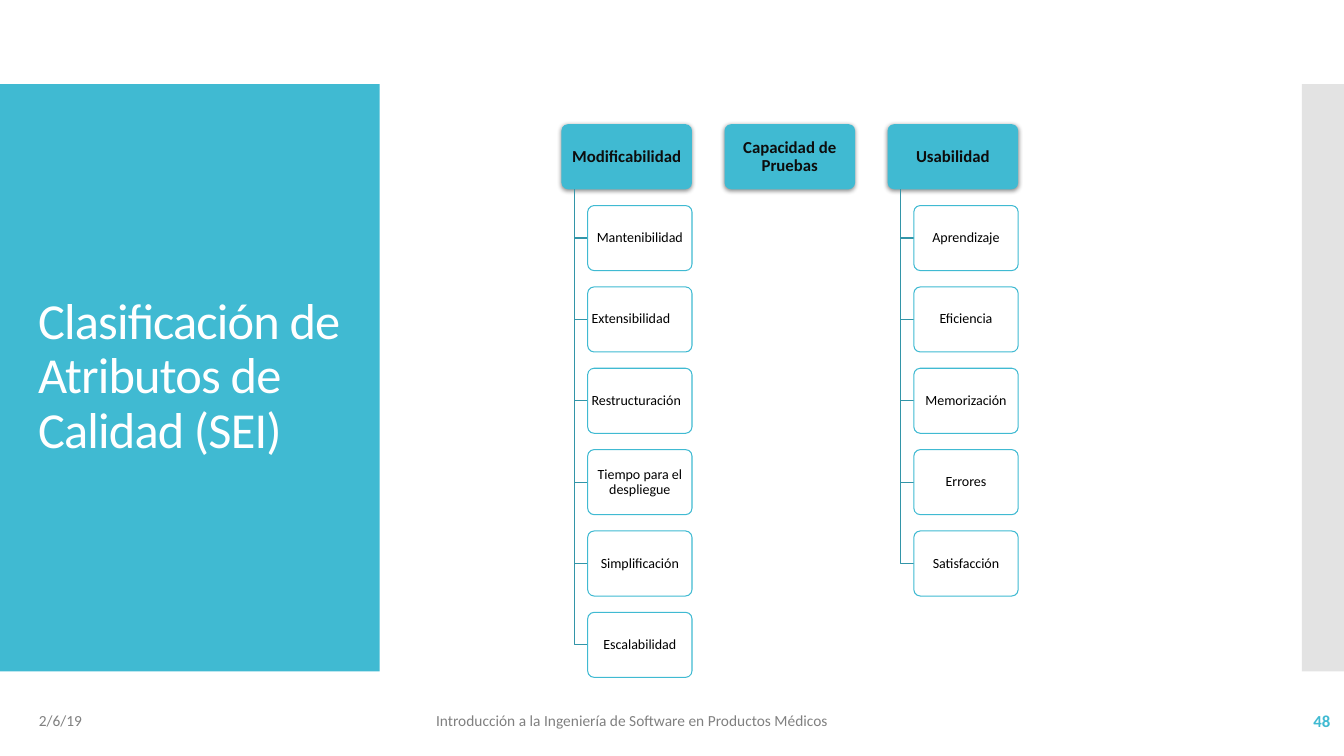
"""Build the slide on the classification of quality attributes."""
from dataclasses import dataclass

from lxml import etree
from pptx import Presentation
from pptx import util as u
from pptx.dml.color import RGBColor
from pptx.enum import shapes, text
from pptx.oxml.ns import qn


@dataclass(frozen=True)
class Theme:
    """Colours, type sizes and font of the deck."""
    teal: str = "40BAD2"
    deep: str = "3395A8"
    grey: str = "C8C8C8"
    white: str = "FFFFFF"
    ink: str = "0D0D0D"
    black: str = "000000"
    mute: str = "808080"
    font: str = "Calibri"
    title: float = 36
    head: float = 12
    note: float = 11
    leaf: float = 10


class Deck:
    """Hold the theme and the current slide and draw on it."""

    def __init__(self, theme):
        """Open a wide presentation with one blank slide."""
        self.theme = theme
        self.prs = Presentation()
        self.prs.slide_width, self.prs.slide_height = u.Cm(33.87), u.Cm(19.05)
        self.slide = self.prs.slides.add_slide(self.prs.slide_layouts[6])

    def apply(self, obj, form):
        """Set each attribute named in a format dict."""
        for name, value in form.items():
            setattr(obj, name, value)

    def box(self, at, fill, kind="RECTANGLE", edge=None, alpha=None):
        """Draw a preset shape with a plain fill and optional outline."""
        item = self.slide.shapes.add_shape(shapes.MSO_SHAPE[kind], *map(u.Cm, at))
        item.shadow.inherit = False
        item.fill.solid()
        item.fill.fore_color.rgb = RGBColor.from_string(fill)
        if alpha:
            tint = item._element.spPr.find(qn("a:solidFill"))[0]
            etree.SubElement(tint, qn("a:alpha"), val=str(alpha * 1000))
        if edge:
            item.line.color.rgb = RGBColor.from_string(edge)
            item.line.width = u.Pt(0.75)
        else:
            item.line.fill.background()
        return item

    def say(self, item, words, size, color, align="LEFT", bold=False, pad=(0.25, 0.13), lead=1.0):
        """Put one styled paragraph in a shape."""
        frame = item.text_frame
        side, top = map(u.Cm, pad)
        self.apply(frame, {
            "word_wrap": True, "vertical_anchor": text.MSO_ANCHOR.MIDDLE,
            "margin_left": side, "margin_right": side,
            "margin_top": top, "margin_bottom": top})
        para = frame.paragraphs[0]
        self.apply(para, {"alignment": text.PP_ALIGN[align], "line_spacing": lead})
        run = para.add_run()
        run.text = words
        self.apply(run.font, {"name": self.theme.font, "size": u.Pt(size), "bold": bold})
        run.font.color.rgb = RGBColor.from_string(color)
        return run

    def label(self, at, *args, **form):
        """Add a text box with one styled paragraph."""
        item = self.slide.shapes.add_textbox(*map(u.Cm, at))
        return self.say(item, *args, **form)

    def shade(self, item):
        """Give a shape a soft shadow below."""
        glow = item._element.spPr.find(qn("a:effectLst"))
        drop = etree.SubElement(glow, qn("a:outerShdw"), blurRad=str(u.Pt(3.5)),
                                dist=str(u.Pt(1.1)), dir="5400000", rotWithShape="0")
        tone = etree.SubElement(drop, qn("a:srgbClr"), val=self.theme.black)
        etree.SubElement(tone, qn("a:alpha"), val="45000")

    def head(self, at, words):
        """Draw the heading of a branch."""
        item = self.box(at, self.theme.teal, "ROUNDED_RECTANGLE")
        item.adjustments[0] = 0.1
        self.shade(item)
        self.say(item, words, self.theme.head, self.theme.ink, "CENTER", True, (0.08, 0.05), 0.9)

    def leaf(self, at, words, align):
        """Draw one attribute of a branch."""
        item = self.box(at, self.theme.white, "ROUNDED_RECTANGLE", self.theme.teal, 90)
        item.adjustments[0] = 0.1
        self.say(item, words, self.theme.leaf, self.theme.black, align, False, (0.05, 0.03), 0.9)

    def elbow(self, left, top, right, low):
        """Draw a line that runs down and then right."""
        left, top, right, low = map(u.Cm, (left, top, right, low))
        pen = self.slide.shapes.build_freeform(left, top)
        pen.add_line_segments([(left, low), (right, low)], close=False)
        item = pen.convert_to_shape()
        item.shadow.inherit = False
        item.fill.background()
        item.line.color.rgb = RGBColor.from_string(self.theme.deep)
        item.line.width = u.Pt(0.85)

    def branch(self, left, top, words, leaves):
        """Draw a heading with its attributes hung below."""
        wide, high, step, dent = 3.29, 1.64, 2.05, 0.66
        self.head((left, top, wide, high), words)
        for row, name in enumerate(leaves, 1):
            y = top + row * step
            self.elbow(left + dent / 2, top + high, left + dent, y + high / 2)
            align = "LEFT" if name in SHIFT else "CENTER"
            self.leaf((left + dent, y, wide - dent, high), name, align)


SHIFT = {"Extensibilidad", "Restructuración"}
TREE = {
    "Modificabilidad": ["Mantenibilidad", "Extensibilidad", "Restructuración",
                        "Tiempo para el despliegue", "Simplificación", "Escalabilidad"],
    "Capacidad de Pruebas": [],
    "Usabilidad": ["Aprendizaje", "Eficiencia", "Memorización", "Errores", "Satisfacción"],
}


def main():
    """Draw the slide and save it."""
    theme = Theme()
    deck = Deck(theme)
    deck.box((0, 2.12, 9.57, 14.8), theme.teal)
    deck.box((32.81, 2.12, 1.06, 14.8), theme.grey, alpha=50)
    title = deck.label((0.71, 3.12, 8.18, 12.78), "Clasificación de Atributos de Calidad (SEI)",
                       theme.title, theme.white, lead=0.9)
    title.font._element.set("spc", "-60")
    for col, (words, leaves) in enumerate(TREE.items()):
        deck.branch(14.15 + col * 4.11, 3.13, words, leaves)
    deck.label((0.73, 17.65, 7.62, 1.02), "2/6/19", theme.note, theme.mute)
    deck.label((10.74, 17.65, 16.41, 1.02),
               "Introducción a la Ingeniería de Software en Productos Médicos",
               theme.note, theme.mute)
    deck.label((29.54, 17.65, 4.24, 1.02), "48", theme.head, theme.teal, "RIGHT", True)
    deck.prs.save("out.pptx")


if __name__ == "__main__":
    main()
